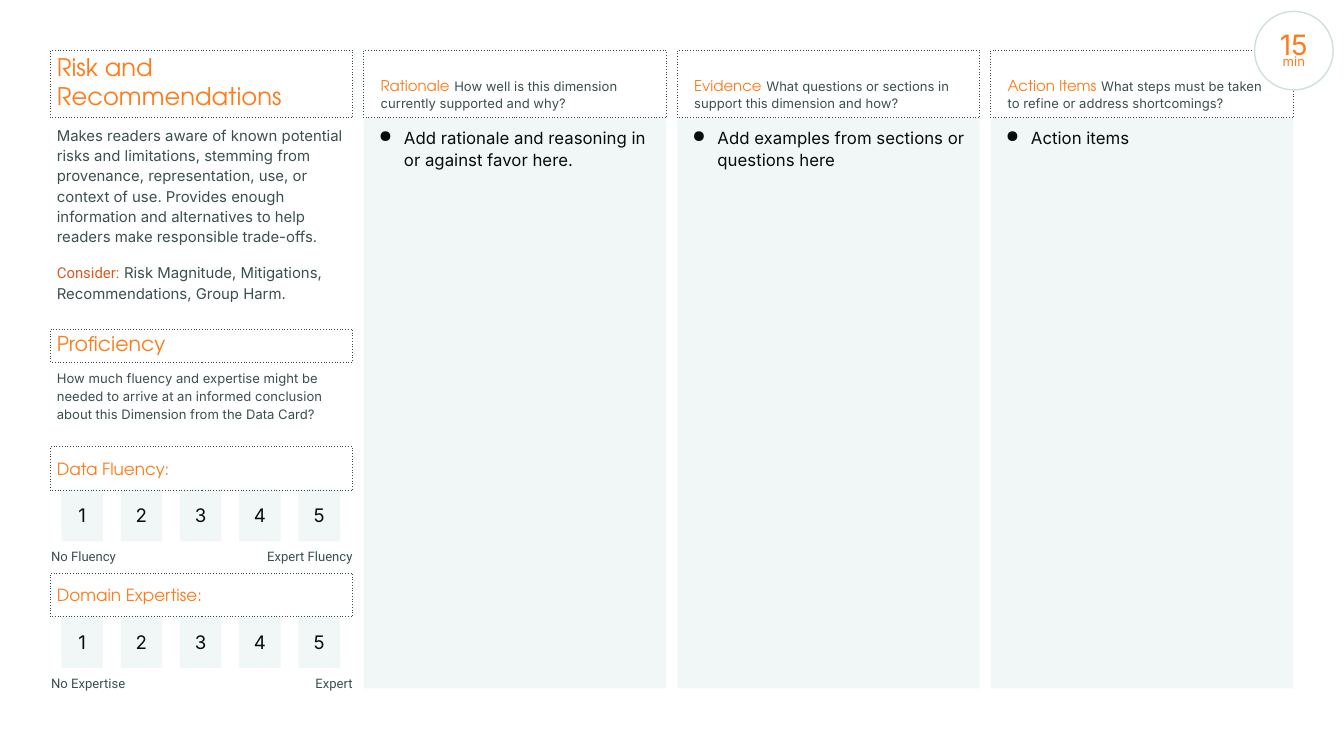
from lxml import etree
from pptx import Presentation
from pptx.dml.color import RGBColor
from pptx.enum import dml, shapes, text
from pptx.oxml import ns
from pptx.util import Cm, Pt

ORANGE = RGBColor(0xFF, 0x7B, 0x19)
RUST = RGBColor(0xDB, 0x59, 0x1E)
SLATE = RGBColor(0x3C, 0x4F, 0x50)
INK = RGBColor(0x09, 0x0B, 0x0C)
MIST = RGBColor(0xF1, 0xF7, 0xF7)
RING = RGBColor(0xCF, 0xE0, 0xE0)
WHITE = RGBColor(0xFF, 0xFF, 0xFF)
DISPLAY, BODY, LABEL = "TeX Gyre Adventor", "Inter", "Roboto"

MARGIN = 1.9
COLUMN_WIDTH = 11.43
COLUMN_PITCH = 11.85
HEADER_HEIGHT = 2.54
PANEL_TOP = 4.47
PANEL_HEIGHT = 21.56
INSET = 0.25

TOP, MIDDLE, BOTTOM = (text.MSO_ANCHOR.TOP, text.MSO_ANCHOR.MIDDLE,
                       text.MSO_ANCHOR.BOTTOM)
LEFT, CENTER, RIGHT = text.PP_ALIGN.LEFT, text.PP_ALIGN.CENTER, text.PP_ALIGN.RIGHT

COLUMNS = [
    ("Rationale", "How well is this dimension currently supported and why?",
     "Add rationale and reasoning in or against favor here."),
    ("Evidence", "What questions or sections in support this dimension and how?",
     "Add examples from sections or questions here"),
    ("Action Items", "What steps must be taken to refine or address shortcomings?",
     "Action items"),
]


def set_frame(shape, anchor=TOP, margin_x=INSET, margin_top=INSET):
    frame = shape.text_frame
    frame.word_wrap = True
    frame.auto_size = text.MSO_AUTO_SIZE.NONE
    frame.vertical_anchor = anchor
    frame.margin_left = frame.margin_right = Cm(margin_x)
    frame.margin_top, frame.margin_bottom = Cm(margin_top), Cm(INSET)


def add_text_box(slide, left, top, width, height, **frame_format):
    shape = slide.shapes.add_textbox(Cm(left), Cm(top), Cm(width), Cm(height))
    set_frame(shape, **frame_format)
    return shape


def add_box(slide, left, top, width, height, fill=None,
            kind=shapes.MSO_SHAPE.RECTANGLE, **frame_format):
    shape = slide.shapes.add_shape(kind, Cm(left), Cm(top), Cm(width), Cm(height))
    shape.shadow.inherit = False
    if fill is None:
        shape.fill.background()
    else:
        shape.fill.solid()
        shape.fill.fore_color.rgb = fill
    shape.line.fill.background()
    set_frame(shape, **frame_format)
    return shape


def outline_dotted(shape):
    shape.line.color.rgb = SLATE
    shape.line.width = Pt(0.75)
    shape.line.dash_style = dml.MSO_LINE.ROUND_DOT
    for dash in shape.element.iter(ns.qn("a:prstDash")):
        dash.set("val", "dot")


def add_bullet(paragraph):
    properties = paragraph._p.get_or_add_pPr()
    properties.set("marL", str(Cm(1.27)))
    properties.set("indent", str(-Cm(0.95)))
    color = etree.SubElement(properties, ns.qn("a:buClr"))
    etree.SubElement(color, ns.qn("a:srgbClr")).set("val", str(INK))
    etree.SubElement(properties, ns.qn("a:buChar")).set("char", "●")


def write(shape, content, font=BODY, size=16, color=SLATE, align=LEFT,
          spacing=1.0, before=0, bullet=False):
    """Write one paragraph; content is a string or (text, font, size, color) runs."""
    frame = shape.text_frame
    paragraph = frame.paragraphs[0] if not frame.text else frame.add_paragraph()
    paragraph.alignment = align
    paragraph.line_spacing = spacing
    paragraph.space_before = Pt(before)
    if bullet:
        add_bullet(paragraph)
    runs = [(content, font, size, color)] if isinstance(content, str) else content
    for words, run_font, run_size, run_color in runs:
        run = paragraph.add_run()
        run.text = words
        run.font.name = run_font
        run.font.size = Pt(run_size)
        run.font.color.rgb = run_color


def add_title(slide, left, top, width, height):
    title = slide.shapes.title
    title.left, title.top, title.width, title.height = map(
        Cm, (left, top, width, height))
    set_frame(title, anchor=BOTTOM)
    outline_dotted(title)
    write(title, "Risk and Recommendations", font=DISPLAY, size=26, color=ORANGE)


def add_heading(slide, left, top, width, height, words, size, anchor=MIDDLE):
    heading = add_box(slide, left, top, width, height, anchor=anchor)
    outline_dotted(heading)
    write(heading, words, font=DISPLAY, size=size, color=ORANGE)


def add_introduction(slide, left, top, width, height):
    box = add_text_box(slide, left, top, width, height)
    write(box, "Makes readers aware of known potential risks and limitations, "
          "stemming from provenance, representation, use, or context of use. "
          "Provides enough information and alternatives to help readers make "
          "responsible trade-offs.", spacing=1.12)
    write(box, [("Consider:", LABEL, 16, RUST), (" ", BODY, 17, SLATE),
                ("Risk Magnitude, Mitigations, Recommendations, Group Harm.",
                 BODY, 16, SLATE)], spacing=1.15, before=16)


def add_proficiency(slide, left, top, width):
    add_heading(slide, left, top, width, 1.24, "Proficiency", 22, BOTTOM)
    box = add_text_box(slide, left, top + 1.22, width, 3.18)
    write(box, "How much fluency and expertise might be needed to arrive at an "
          "informed conclusion about this Dimension from the Data Card?",
          size=14, spacing=1.15)


def add_rating(slide, left, top, width, words, lowest, highest):
    """Place a heading, five score cells and the labels of both ends."""
    for index in range(5):
        cell = add_box(slide, left + 0.42 + index * 2.24, top + 1.62, 1.57, 1.96,
                       fill=MIST, anchor=MIDDLE)
        write(cell, str(index + 1), size=20, color=INK, align=CENTER)
    half = width / 2
    for offset, label, align in ((0.03, lowest, LEFT), (half, highest, RIGHT)):
        box = add_text_box(slide, left + offset, top + 3.54, half, 1.24,
                           anchor=MIDDLE, margin_x=0)
        write(box, label, font=LABEL, size=14, align=align)
    add_heading(slide, left, top, width, 1.65, words, 18)


def add_answer_column(slide, left, width, name, question, prompt):
    panel = add_box(slide, left, PANEL_TOP, width, PANEL_HEIGHT, fill=MIST)
    write(panel, prompt, size=18, color=INK, spacing=1.12, bullet=True)
    header = add_box(slide, left, MARGIN, width, HEADER_HEIGHT, anchor=BOTTOM,
                     margin_x=0.64)
    outline_dotted(header)
    write(header, [(name, DISPLAY, 16, ORANGE), (" ", DISPLAY, 18, ORANGE),
                   (question, BODY, 14, SLATE)])


def add_timer(slide, left, top, diameter):
    timer = add_box(slide, left, top, diameter, diameter, fill=WHITE,
                    kind=shapes.MSO_SHAPE.OVAL, anchor=MIDDLE, margin_top=0.51)
    timer.line.color.rgb = RING
    timer.line.width = Pt(1.5)
    for words, size in (("15", 30), ("min", 14)):
        write(timer, words, size=size, color=ORANGE, align=CENTER, spacing=0.6)


def main():
    presentation = Presentation()
    presentation.slide_width, presentation.slide_height = Cm(50.8), Cm(27.94)
    slide = presentation.slides.add_slide(presentation.slide_layouts[5])
    add_title(slide, MARGIN, MARGIN, COLUMN_WIDTH, HEADER_HEIGHT)
    add_introduction(slide, MARGIN, PANEL_TOP, COLUMN_WIDTH, 7.37)
    add_proficiency(slide, MARGIN, 12.45, COLUMN_WIDTH)
    add_rating(slide, MARGIN, 16.89, COLUMN_WIDTH, "Data Fluency:",
               "No Fluency", "Expert Fluency")
    add_rating(slide, MARGIN, 21.67, COLUMN_WIDTH, "Domain Expertise:",
               "No Expertise", "Expert")
    for index, column in enumerate(COLUMNS, start=1):
        add_answer_column(slide, MARGIN + index * COLUMN_PITCH, COLUMN_WIDTH, *column)
    add_timer(slide, 47.42, 0.43, 2.97)
    presentation.save("out.pptx")


if __name__ == "__main__":
    main()
